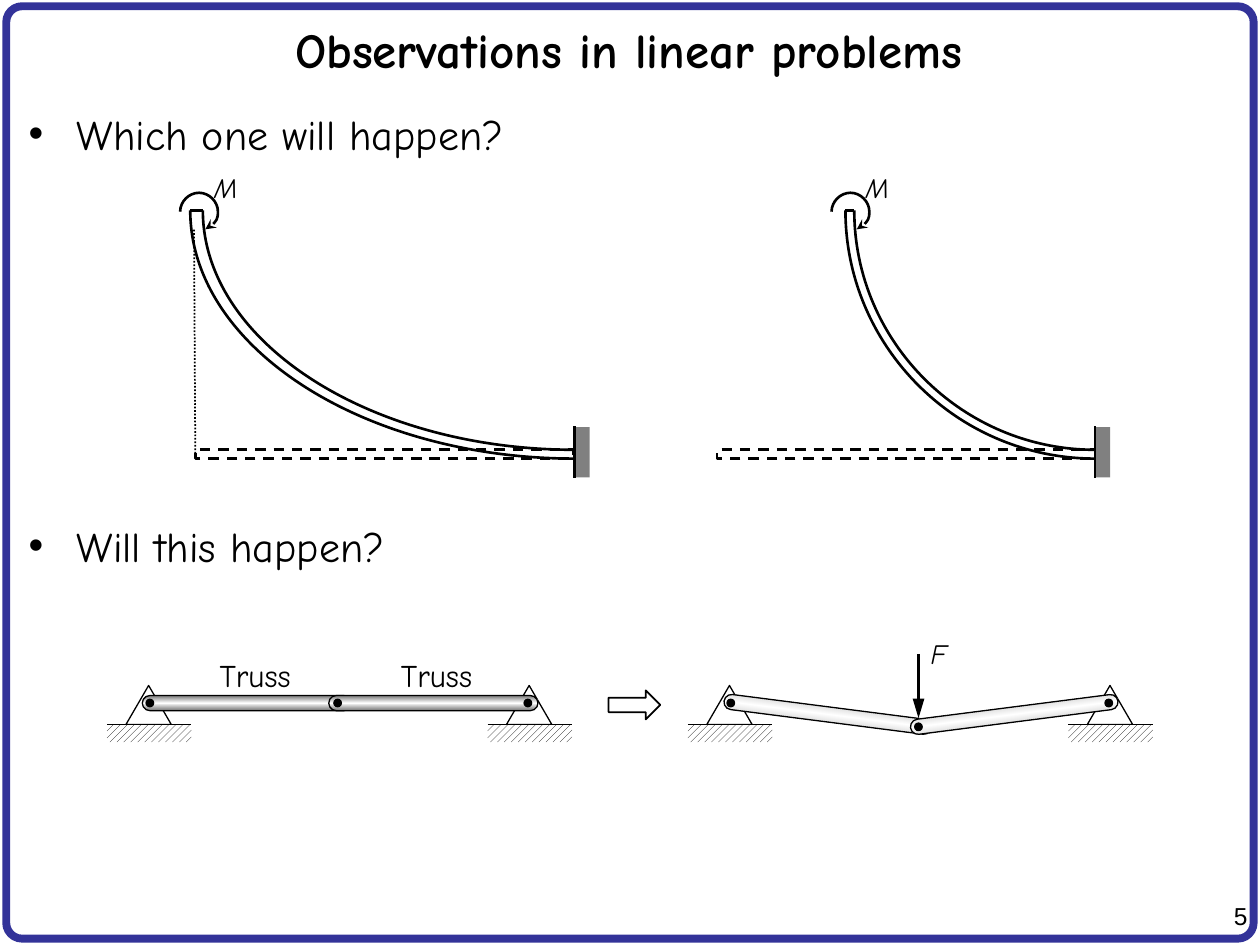
from lxml import etree
from pptx import Presentation, util as u
from pptx.dml.color import RGBColor
from pptx.enum import dml, shapes, text
from pptx.oxml import ns

C = {"ink": "000000", "frame": "333399", "wall": "808080", "steel": "767676", "paper": "FFFFFF"}
RGB = {name: RGBColor.from_string(value) for name, value in C.items()}
MSO = shapes.MSO_SHAPE
ALIGN = text.PP_ALIGN

prs = Presentation()
prs.slide_width, prs.slide_height = u.Inches(10), u.Inches(7.5)
s = prs.slides.add_slide(prs.slide_layouts[6])


def add_shape(kind, x, y, w, h, fill=None, width=0.75, line="ink"):
    sp = s.shapes.add_shape(kind, *map(u.Inches, (x, y, w, h)))
    sp.shadow.inherit = False
    if fill:
        sp.fill.solid()
        sp.fill.fore_color.rgb = RGB[fill]
    else:
        sp.fill.background()
    if width:
        sp.line.width = u.Pt(width)
        sp.line.color.rgb = RGB[line]
    else:
        sp.line.fill.background()
    return sp


def add_text(words, x, y, w, h, size, align=ALIGN.LEFT, inset=0, font="Comic Neue"):
    tf = s.shapes.add_textbox(*map(u.Inches, (x, y, w, h))).text_frame
    tf.word_wrap = True
    tf.margin_left = tf.margin_right = u.Inches(inset)
    tf.margin_top = tf.margin_bottom = u.Inches(inset / 2)
    tf.text = words
    for p in tf.paragraphs:
        p.alignment = align
        p.font.size, p.font.name = u.Pt(size), font
        p.font.color.rgb = RGB["ink"]
    return tf


frame = add_shape(MSO.ROUNDED_RECTANGLE, 0.05, 0.05, 9.9, 7.4, None, 4.5, "frame")
frame.adjustments[0] = 0.017
add_text("5", 9.46, 7.1, 0.54, 0.33, 14, ALIGN.RIGHT, 0.1, "Arial")

title = add_text("Observations in linear problems", 0.04, 0.06, 9.9, 0.65, 28, ALIGN.CENTER, 0.1)
title.vertical_anchor = text.MSO_ANCHOR.MIDDLE
title.paragraphs[0].font.bold = True

body = add_text("Which one will happen?\nWill this happen?", 0.13, 0.81, 9.74, 6.42, 24, inset=0.1)
for p, gap in zip(body.paragraphs, (2, 206.5)):
    p.space_before = u.Pt(gap)
    pPr = p._p.get_or_add_pPr()
    pPr.set("marL", str(u.Inches(0.38)))
    pPr.set("indent", str(u.Inches(-0.38)))
    font = etree.Element(ns.qn("a:buFont"), typeface="Arial")
    pPr.find(ns.qn("a:spcBef")).addnext(font)
    font.addnext(etree.Element(ns.qn("a:buChar"), char="•"))
    p.runs[0].font.size = u.Pt(24)

lines = [(1.55, 3.6, 1.54, 1.81, 1, dml.MSO_LINE.ROUND_DOT, None)]
arrows = []

for beam, wall, outer, inner, moment in ((1.55, 4.56, 1.51, 1.61, 1.58), (5.69, 8.69, 6.71, 6.78, 6.75)):
    add_shape(MSO.RECTANGLE, wall, 3.39, 0.12, 0.4, "wall", 0)
    flat = add_shape(MSO.RECTANGLE, beam, 3.57, 3, 0.07, None, 1.5)
    flat.line.dash_style = dml.MSO_LINE.DASH
    lines.append((outer, 1.67, inner, 1.67, 1.5, None, None))
    lines.append((wall, 3.79, wall, 3.38, 1.5, None, None))

    curves = []
    for tip, bottom in ((inner, 3.57), (outer, 3.64)):
        bend_x, bend_y = wall - 0.55 * (wall - tip), 1.67 + 0.55 * (bottom - 1.67)
        curves.append([(wall, bottom), (bend_x, bottom), (tip, bend_y), (tip, 1.67)])
    turn = ((-0.15, 0), (-0.15, -0.08), (-0.08, -0.15), (0, -0.15), (0.08, -0.15),
            (0.15, -0.08), (0.15, 0), (0.15, 0.06), (0.11, 0.12), (0.05, 0.14))
    curves.append([(moment + dx, 1.68 + dy) for dx, dy in turn])

    for curve in curves:
        points = [(u.Inches(x), u.Inches(y)) for x, y in curve]
        outline = s.shapes.build_freeform(*points[0])
        outline.add_line_segments(points[1:], close=False)
        sp = outline.convert_to_shape()
        segments = list(sp._element.iter(ns.qn("a:lnTo")))
        for i in range(0, len(segments), 3):
            bezier = etree.Element(ns.qn("a:cubicBezTo"))
            segments[i].addprevious(bezier)
            for segment in segments[i:i + 3]:
                bezier.append(segment[0])
                segment.getparent().remove(segment)
        sp.shadow.inherit = False
        sp.fill.background()
        sp.line.width = u.Pt(1.5)
        sp.line.color.rgb = RGB["ink"]
    arrows.append((sp, "stealth"))
    tf = add_text("M", moment + 0.12, 1.35, 0.25, 0.29, 16)
    tf.paragraphs[0].font.italic = True

for left, sag, tilt in ((0.85, 0, 0), (5.46, 0.09, 7.3)):
    for x in (left, left + 3.02):
        add_shape(MSO.ISOSCELES_TRIANGLE, x + 0.15, 5.44, 0.36, 0.31)
        ground = add_shape(MSO.RECTANGLE, x, 5.75, 0.67, 0.14, None, 0)
        ground.fill.patterned()
        ground.fill.pattern = dml.MSO_PATTERN.WIDE_UPWARD_DIAGONAL
        ground.fill.fore_color.rgb = RGB["ink"]
        ground.fill.back_color.rgb = RGB["paper"]
        lines.append((x, 5.75, x + 0.67, 5.75, 0.75, None, None))
    for x, angle in ((left + 0.28, tilt), (left + 1.76, -tilt)):
        bar = add_shape(MSO.ROUNDED_RECTANGLE, x, 5.52 + sag, 1.66, 0.12)
        bar.adjustments[0] = 0.5
        bar.rotation = angle
        bar.fill.gradient()
        bar.fill.gradient_angle = 90
        stops = bar.fill._fill._gradFill.find(ns.qn("a:gsLst"))
        for stop in list(stops):
            stops.remove(stop)
        for pos, color in ((0, "steel"), (50, "paper"), (100, "steel")):
            stop = etree.SubElement(stops, ns.qn("a:gs"), pos=str(pos * 1000))
            etree.SubElement(stop, ns.qn("a:srgbClr"), val=C[color])
    for x, drop in ((0.31, 0), (1.8, sag * 2.1), (3.31, 0)):
        add_shape(MSO.OVAL, left + x, 5.55 + drop, 0.06, 0.06, "ink")

lines.append((7.29, 5.19, 7.29, 5.7, 2.25, None, "triangle"))
tf = add_text("F", 7.31, 5.05, 0.28, 0.23, 16, ALIGN.CENTER)
tf.paragraphs[0].font.italic = True
for x in (1.59, 3.03):
    tf = add_text("Truss", x, 5.16, 0.87, 0.4, 18, ALIGN.CENTER, 0.1)
    tf.word_wrap = False
add_shape(MSO.RIGHT_ARROW, 4.83, 5.48, 0.41, 0.23, None, 1)

for x1, y1, x2, y2, width, dash, head in lines:
    sp = s.shapes.add_connector(shapes.MSO_CONNECTOR.STRAIGHT, *map(u.Inches, (x1, y1, x2, y2)))
    sp.line.width = u.Pt(width)
    sp.line.color.rgb = RGB["ink"]
    if dash:
        sp.line.dash_style = dash
    etree.SubElement(sp._element.spPr, ns.qn("a:effectLst"))
    if head:
        arrows.append((sp, head))

for sp, head in arrows:
    size = "lg" if head == "triangle" else "med"
    etree.SubElement(sp.line._get_or_add_ln(), ns.qn("a:tailEnd"), type=head, len=size)

prs.save("out.pptx")
